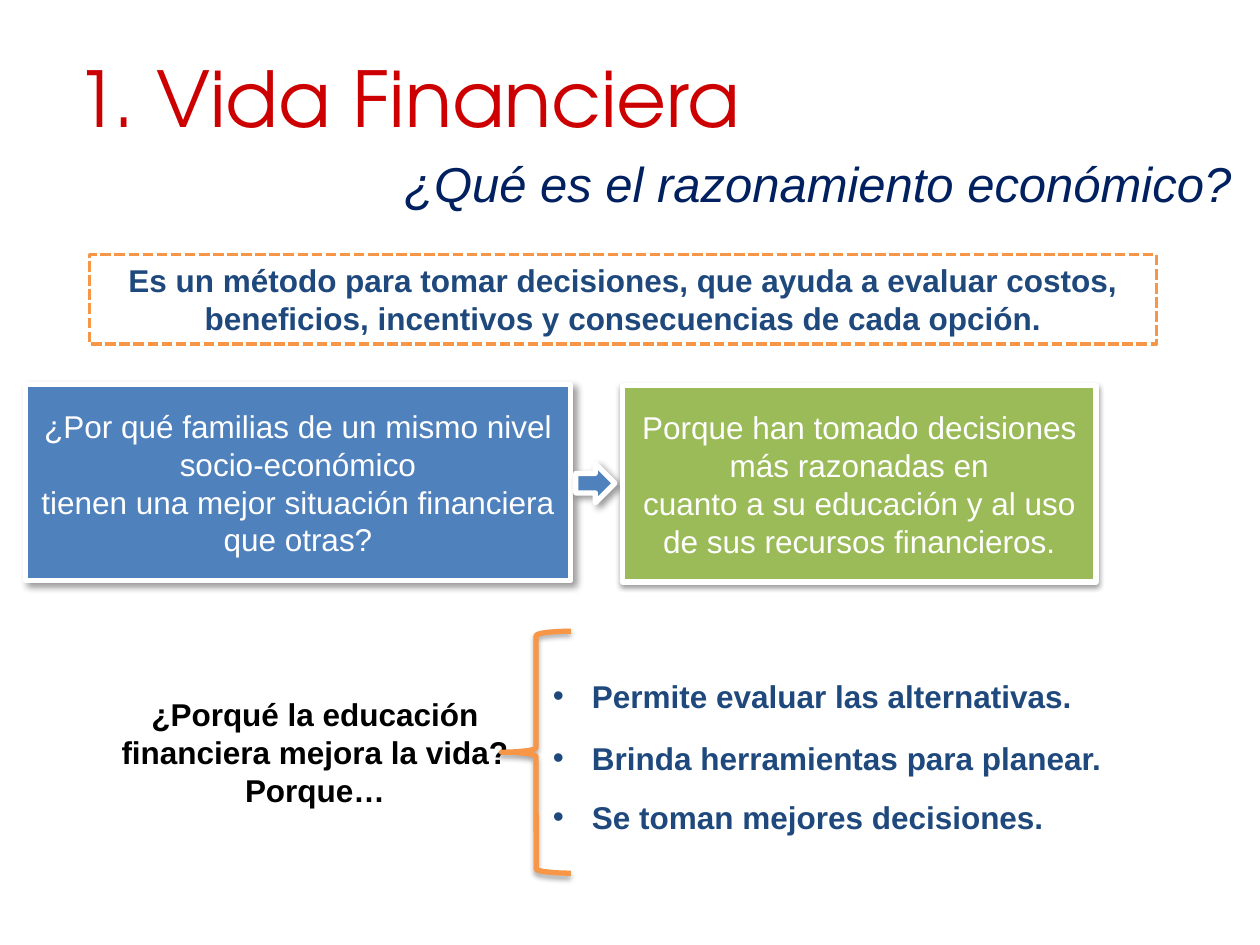
from lxml.etree import SubElement
from pptx import Presentation
from pptx.dml.color import RGBColor
from pptx.enum.dml import MSO_LINE
from pptx.enum.shapes import MSO_SHAPE
from pptx.enum.text import MSO_ANCHOR, MSO_AUTO_SIZE, PP_ALIGN
from pptx.oxml.ns import qn
from pptx.util import Inches, Pt

WHITE = RGBColor(0xFF, 0xFF, 0xFF)
BLACK = RGBColor(0, 0, 0)
BLUE = RGBColor(0x4F, 0x81, 0xBD)
GREEN = RGBColor(0x9B, 0xBB, 0x59)
ORANGE = RGBColor(0xF7, 0x96, 0x46)
DARK_BLUE = RGBColor(0x1F, 0x49, 0x7D)
NAVY = RGBColor(0x00, 0x20, 0x60)
RED = RGBColor(0xCC, 0, 0)

# Shadows: opacity %, blur pt, distance pt, angle
DIAGONAL = (40, 4, 3, 45)
BELOW = (38, 3.1, 1.6, 90)
BRACE_SHADOW = (35, 3.1, 1.8, 90)


class SlideBuilder:
    body_font = "Arial"
    title_font = "TeX Gyre Adventor"

    def __init__(self, deck):
        self.page = deck.slides.add_slide(deck.slide_layouts[5])

    def fill_text(self, box, lines, size=18, color=DARK_BLUE, bold=False, italic=False,
                  align=PP_ALIGN.CENTER, anchor=MSO_ANCHOR.TOP, font=body_font):
        frame = box.text_frame
        frame.word_wrap = True
        frame.auto_size = MSO_AUTO_SIZE.NONE
        frame.vertical_anchor = anchor
        frame.text = "\n".join(lines)
        for para in frame.paragraphs:
            para.alignment = align
            for span in para.runs:
                span.font.name = font
                span.font.size = Pt(size)
                span.font.bold = bold
                span.font.italic = italic
                span.font.color.rgb = color

    def title(self, text, *place):
        box = self.page.shapes.title
        box.left, box.top, box.width, box.height = map(Inches, place)
        self.fill_text(box, [text], 44, RED, align=PP_ALIGN.LEFT,
                       anchor=MSO_ANCHOR.MIDDLE, font=self.title_font)

    def text(self, lines, *place, **style):
        box = self.page.shapes.add_textbox(*map(Inches, place))
        self.fill_text(box, lines, **style)
        return box

    def bullets(self, lines, gaps, *place):
        box = self.text(lines, *place, bold=True, align=PP_ALIGN.LEFT)
        for para, gap in zip(box.text_frame.paragraphs, gaps):
            para.space_before = Pt(gap)
            properties = para._p.get_or_add_pPr()
            properties.set("marL", str(Inches(0.31)))
            properties.set("indent", str(Inches(-0.31)))
            SubElement(properties, qn("a:buFont"), typeface=self.body_font)
            SubElement(properties, qn("a:buChar"), char="•")

    def shape(self, kind, *place, fill=None, line=WHITE, weight=3, shadow=None):
        shape = self.page.shapes.add_shape(kind, *map(Inches, place))
        if fill is None:
            shape.fill.background()
        else:
            shape.fill.solid()
            shape.fill.fore_color.rgb = fill
        shape.line.color.rgb = line
        shape.line.width = Pt(weight)
        shape.shadow.inherit = False
        if shadow:
            self.cast_shadow(shape, *shadow)
        return shape

    def cast_shadow(self, shape, opacity, blur, distance, angle):
        effects = shape._element.spPr.find(qn("a:effectLst"))
        outer = SubElement(effects, qn("a:outerShdw"), blurRad=str(Pt(blur)),
                           dist=str(Pt(distance)), dir=str(angle * 60000),
                           rotWithShape="0")
        color = SubElement(outer, qn("a:srgbClr"), val=str(BLACK))
        SubElement(color, qn("a:alpha"), val=str(opacity * 1000))


def main():
    deck = Presentation()
    deck.slide_width, deck.slide_height = Inches(10), Inches(7.5)
    slide = SlideBuilder(deck)

    # Headings
    slide.title("1. Vida Financiera", 0.5, 0.3, 9, 0.93)
    slide.text(["¿Qué es el razonamiento económico?"], 3.11, 1.14, 6.85, 0.63,
               size=28, color=NAVY, italic=True, align=PP_ALIGN.LEFT,
               anchor=MSO_ANCHOR.MIDDLE)

    # Definition
    definition = slide.shape(MSO_SHAPE.RECTANGLE, 0.71, 2.02, 8.47, 0.71,
                             fill=WHITE, line=ORANGE, weight=2)
    definition.line.dash_style = MSO_LINE.SQUARE_DOT
    slide.fill_text(definition, ["Es un método para tomar decisiones, que ayuda a evaluar "
                                 "costos, beneficios, incentivos y consecuencias de cada "
                                 "opción."], bold=True)

    # Question, arrow and answer
    question = slide.shape(MSO_SHAPE.RECTANGLE, 0.2, 3.05, 4.33, 1.56,
                           fill=BLUE, shadow=DIAGONAL)
    slide.fill_text(question, ["¿Por qué familias de un mismo nivel socio-económico",
                               "tienen una mejor situación financiera",
                               "que otras?"], color=WHITE, anchor=MSO_ANCHOR.MIDDLE)
    slide.shape(MSO_SHAPE.RIGHT_ARROW, 4.57, 3.68, 0.31, 0.31,
                fill=BLUE, shadow=DIAGONAL)
    answer = slide.shape(MSO_SHAPE.RECTANGLE, 4.94, 3.06, 3.76, 1.56,
                         fill=GREEN, shadow=BELOW)
    slide.fill_text(answer, ["Porque han tomado decisiones más razonadas en",
                             "cuanto a su educación y al uso",
                             "de sus recursos financieros."],
                    color=WHITE, anchor=MSO_ANCHOR.MIDDLE)

    # Reasons
    slide.text(["¿Porqué la educación financiera mejora la vida? Porque…"],
               0.86, 5.47, 3.28, 1.01, color=BLACK, bold=True)
    brace = slide.shape(MSO_SHAPE.LEFT_BRACE, 3.98, 5.01, 0.55, 1.92,
                        line=ORANGE, shadow=BRACE_SHADOW)
    brace.adjustments[0] = 0.064
    slide.bullets(["Permite evaluar las alternativas.",
                   "Brinda herramientas para planear.",
                   "Se toman mejores decisiones."], (0, 14, 12),
                  4.29, 5.32, 5, 1.35)

    deck.save("out.pptx")


if __name__ == "__main__":
    main()
